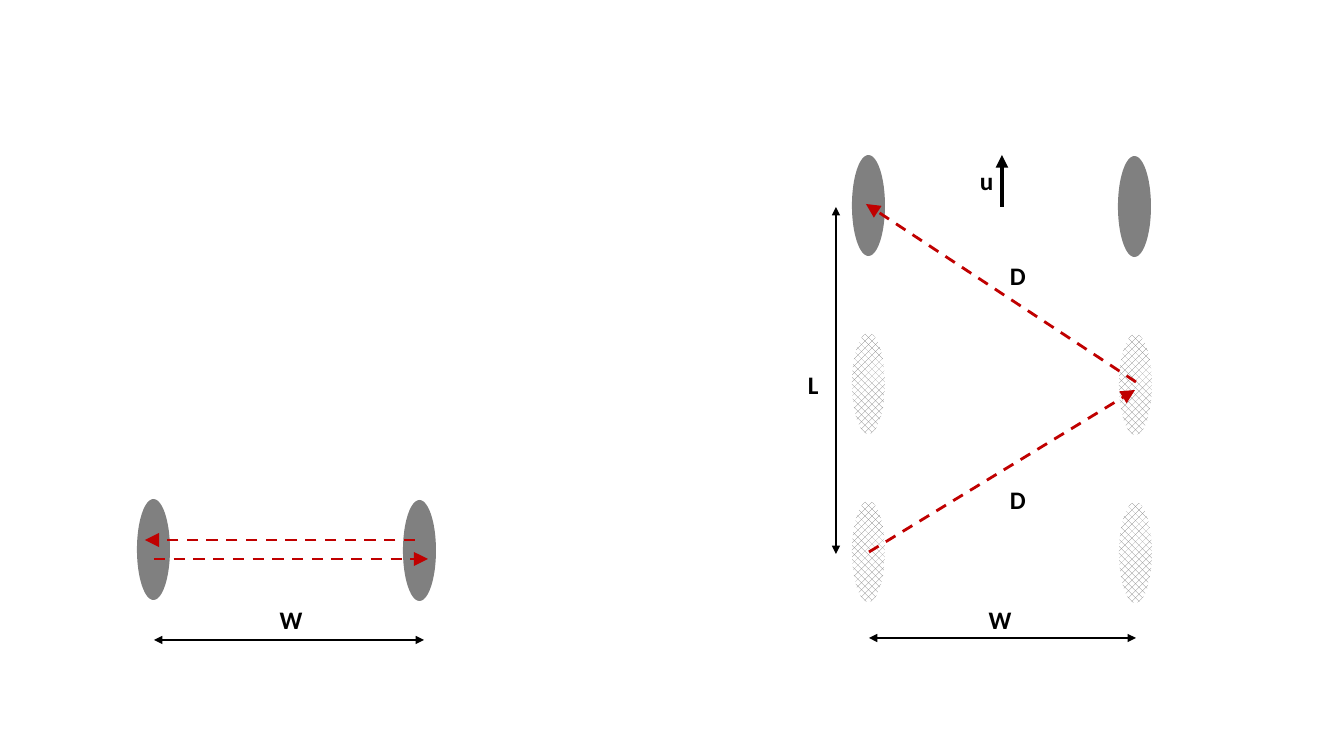
"""Build a slide of two path diagrams between wheels, at rest and moving at speed u."""
from lxml.etree import SubElement
from pptx import Presentation
from pptx.dml.color import RGBColor
from pptx.enum.dml import MSO_LINE_DASH_STYLE as DASH, MSO_PATTERN_TYPE as PATTERN
from pptx.enum.shapes import MSO_CONNECTOR as CONNECTOR, MSO_SHAPE as SHAPE
from pptx.enum.text import MSO_AUTO_SIZE as AUTO_SIZE, PP_ALIGN as ALIGN
from pptx.oxml.ns import qn
from pptx.util import Emu, Pt

PX = 914400 / 100.8
GREY, RED, BLACK, WHITE = "808080", "C00000", "000000", "FFFFFF"


def px(*lengths):
    return [Emu(round(length * PX)) for length in lengths]


def color(hex_string):
    return RGBColor.from_string(hex_string)


presentation = Presentation()
presentation.slide_width, presentation.slide_height = px(1344, 756)
slide = presentation.slides.add_slide(presentation.slide_layouts[6])

WHEEL_WIDTH, WHEEL_HEIGHT = 33, 101
wheels = [
    (137, 499, False), (403, 500, False),
    (852, 155, False), (1118, 156, False),
    (852, 501, True), (1119, 502, True),
    (852, 333, True), (1119, 334, True),
]
for left, top, is_past in wheels:
    wheel = slide.shapes.add_shape(SHAPE.OVAL, *px(left, top, WHEEL_WIDTH, WHEEL_HEIGHT))
    wheel.shadow.inherit = False
    wheel.line.fill.background()
    if is_past:
        wheel.fill.patterned()
        wheel.fill.pattern = PATTERN.PERCENT_50
        wheel.fill.fore_color.rgb = color(GREY)
        wheel.fill.back_color.rgb = color(WHITE)
    else:
        wheel.fill.solid()
        wheel.fill.fore_color.rgb = color(GREY)

signal = (RED, 2, True, "lg", ["tailEnd"])
dimension = (BLACK, 2, False, "med", ["headEnd", "tailEnd"])
velocity = (BLACK, 3, False, "med", ["tailEnd"])
arrows = [
    (415, 540, 145, 540, signal),
    (154, 559, 428, 559, signal),
    (154, 640, 424, 640, dimension),
    (1136, 382, 866, 204, signal),
    (869, 552, 1135, 390, signal),
    (869, 638, 1136, 638, dimension),
    (836, 207, 836, 554, dimension),
    (1002, 207, 1002, 155, velocity),
]
for x1, y1, x2, y2, (hue, width, is_dashed, head_size, ends) in arrows:
    arrow = slide.shapes.add_connector(CONNECTOR.STRAIGHT, *px(x1, y1, x2, y2))
    arrow.line.color.rgb = color(hue)
    arrow.line.width = Pt(width)
    if is_dashed:
        arrow.line.dash_style = DASH.DASH
    for end in ends:
        SubElement(arrow.line._get_or_add_ln(), qn(f"a:{end}"),
                   type="triangle", w=head_size, len=head_size)
    SubElement(arrow._element.spPr, qn("a:effectLst"))

labels = [
    ("W", 251, 599, 80, ALIGN.CENTER),
    ("W", 959, 599, 82, ALIGN.CENTER),
    ("L", 798, 364, 43, ALIGN.LEFT),
    ("D", 1000, 255, 47, ALIGN.LEFT),
    ("D", 1000, 479, 47, ALIGN.LEFT),
    ("u", 970, 160, 31, ALIGN.LEFT),
]
for text, left, top, width, alignment in labels:
    label = slide.shapes.add_textbox(*px(left, top, width, 40))
    frame = label.text_frame
    frame.word_wrap = True
    frame.auto_size = AUTO_SIZE.SHAPE_TO_FIT_TEXT
    paragraph = frame.paragraphs[0]
    paragraph.text = text
    paragraph.alignment = alignment
    paragraph.font.name = "Calibri"
    paragraph.font.size = Pt(18)
    paragraph.font.bold = True
    paragraph.font.color.rgb = color(BLACK)

presentation.save("out.pptx")
